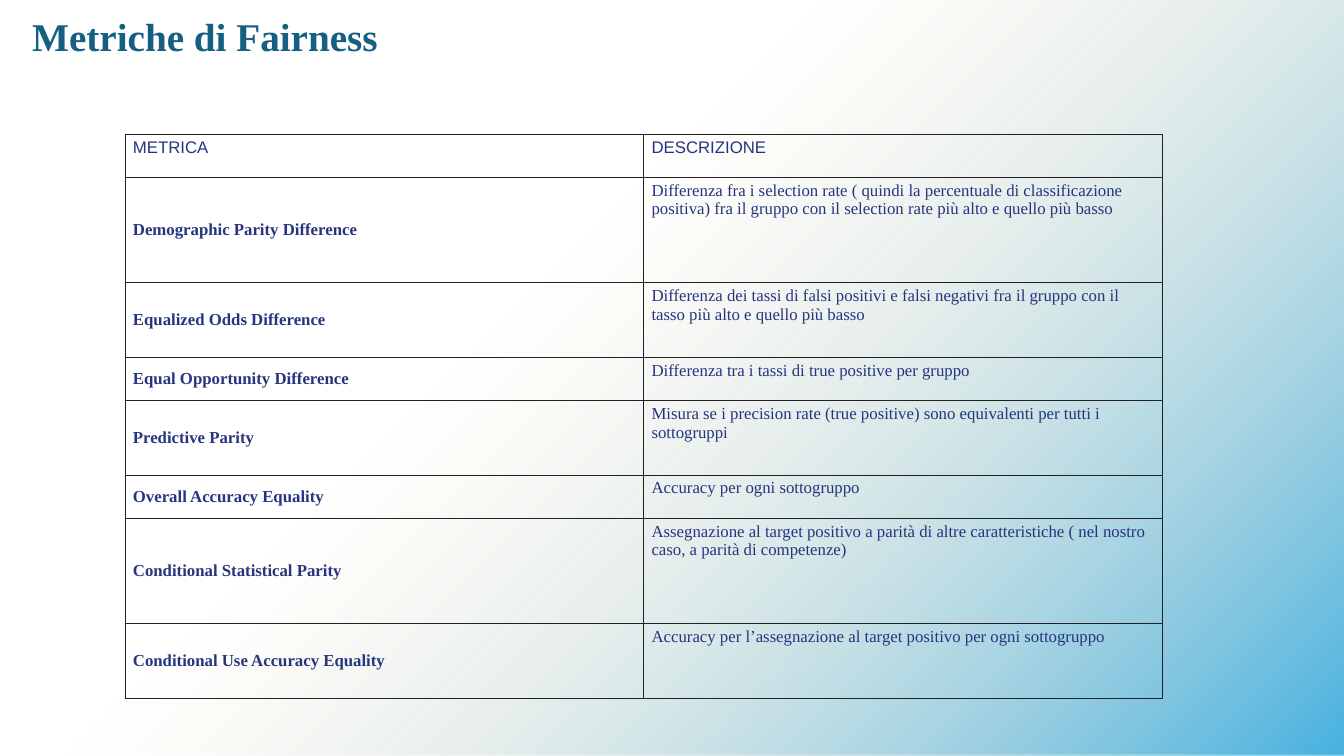
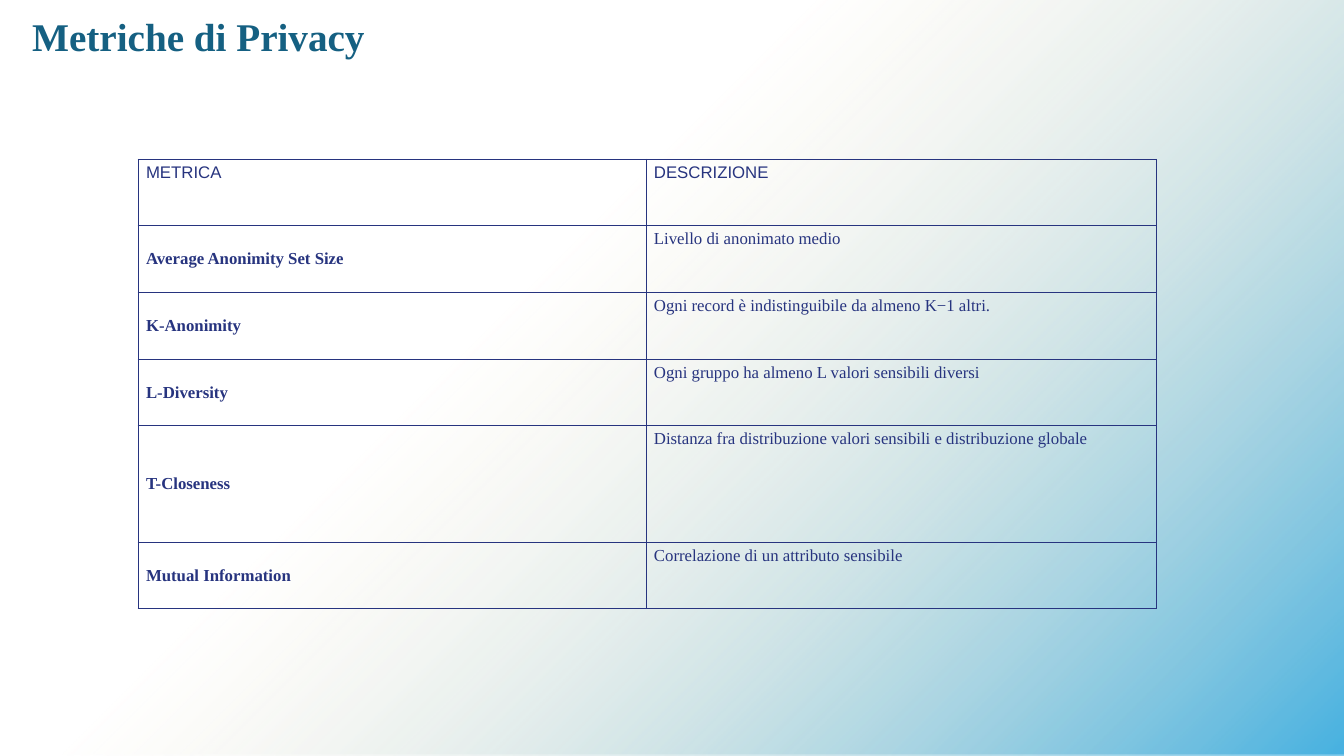
"""Two slides of fairness and privacy metrics, each a titled table over a shared gradient."""
from lxml import etree
from pptx import Presentation
from pptx.dml.color import RGBColor
from pptx.enum import shapes, text
from pptx.oxml import parse_xml
from pptx.oxml.ns import nsdecls, qn
from pptx.util import Cm, Pt

TITLE_COLOR = RGBColor(0x15, 0x60, 0x82)
TEXT_COLOR = RGBColor(0x27, 0x34, 0x7F)
DARK_GREY = RGBColor(0x21, 0x21, 0x21)
GLOW_BLUE = RGBColor(0x46, 0xB1, 0xE1)
GLOW_SAND = RGBColor(0xE3, 0xD8, 0xBB)
SERIF, SANS = "Times New Roman", "Arial"
NO_TABLE_STYLE = "{2D5ABB26-0587-4C30-8999-92F81FD0307C}"

GRADIENT = f"""<a:gradFill {nsdecls("a")} rotWithShape="1"><a:gsLst>
<a:gs pos="0"><a:srgbClr val="{GLOW_BLUE}"/></a:gs>
<a:gs pos="61000"><a:srgbClr val="{GLOW_SAND}"><a:alpha val="0"/></a:srgbClr></a:gs>
</a:gsLst><a:path path="circle"><a:fillToRect l="100000" t="100000"/></a:path></a:gradFill>"""

HEADER = ("METRICA", "DESCRIZIONE")
SLIDES = [
    {
        "title": "Metriche di Fairness",
        "left": 3.15, "top": 3.38, "columns": (13.07, 13.07), "border": DARK_GREY,
        "heights": (1.09, 2.65, 1.88, 1.09, 1.88, 1.09, 2.65, 1.88),
        "rows": [
            HEADER,
            ("Demographic Parity Difference",
             "Differenza fra i selection rate ( quindi la percentuale di classificazione positiva) "
             "fra il gruppo con il selection rate più alto e quello più basso"),
            ("Equalized Odds Difference",
             "Differenza dei tassi di falsi positivi e falsi negativi fra il gruppo con il tasso "
             "più alto e quello più basso"),
            ("Equal Opportunity Difference", "Differenza tra i tassi di true positive per gruppo"),
            ("Predictive Parity",
             "Misura se i precision rate (true positive) sono equivalenti per tutti i sottogruppi"),
            ("Overall Accuracy Equality", "Accuracy per ogni sottogruppo"),
            ("Conditional Statistical Parity",
             "Assegnazione al target positivo a parità di altre caratteristiche "
             "( nel nostro caso, a parità di competenze)"),
            ("Conditional Use Accuracy Equality",
             "Accuracy per l’assegnazione al target positivo per ogni sottogruppo"),
        ],
    },
    {
        "title": "Metriche di Privacy",
        "left": 3.48, "top": 4.01, "columns": (12.8, 12.86), "border": TEXT_COLOR,
        "heights": (1.68, 1.68, 1.68, 1.68, 2.93, 1.68),
        "rows": [
            HEADER,
            ("Average Anonimity Set Size", "Livello di anonimato medio"),
            ("K-Anonimity", "Ogni record è indistinguibile da almeno K−1 altri."),
            ("L-Diversity", "Ogni gruppo ha almeno L valori sensibili diversi"),
            ("T-Closeness", "Distanza fra distribuzione valori sensibili e distribuzione globale"),
            ("Mutual Information", "Correlazione di un attributo sensibile"),
        ],
    },
]


def style_run(paragraph, font_name, size, color, bold):
    font = paragraph.runs[0].font
    font.name, font.size, font.bold = font_name, Pt(size), bold
    font.color.rgb = color


def add_borders(cell, color):
    properties = cell._tc.get_or_add_tcPr()
    for position, side in enumerate(("lnL", "lnR", "lnT", "lnB")):
        line = etree.Element(qn(f"a:{side}"), w=str(Pt(0.6)))
        solid = etree.SubElement(line, qn("a:solidFill"))
        etree.SubElement(solid, qn("a:srgbClr"), val=str(color))
        properties.insert(position, line)


presentation = Presentation()
presentation.slide_width, presentation.slide_height = Cm(33.87), Cm(19.05)

for content in SLIDES:
    slide = presentation.slides.add_slide(presentation.slide_layouts[6])

    backdrop = slide.shapes.add_shape(
        shapes.MSO_SHAPE.RECTANGLE, 0, Cm(-0.18), presentation.slide_width, Cm(19.23))
    backdrop.shadow.inherit = False
    backdrop.line.fill.background()
    backdrop._element.spPr.find(qn("a:prstGeom")).addnext(parse_xml(GRADIENT))

    title = slide.shapes.add_textbox(Cm(0.56), Cm(0.18), Cm(24.1), Cm(1.45))
    title.text_frame.word_wrap = True
    title.text_frame.auto_size = text.MSO_AUTO_SIZE.SHAPE_TO_FIT_TEXT
    title.text_frame.text = content["title"]
    style_run(title.text_frame.paragraphs[0], SERIF, 28, TITLE_COLOR, True)

    rows, columns, heights = content["rows"], content["columns"], content["heights"]
    table = slide.shapes.add_table(
        len(rows), len(columns), Cm(content["left"]), Cm(content["top"]),
        Cm(sum(columns)), Cm(sum(heights))).table
    table.first_row = table.horz_banding = False
    table._tbl.tblPr.find(qn("a:tableStyleId")).text = NO_TABLE_STYLE
    for column, width in zip(table.columns, columns):
        column.width = Cm(width)

    for row_index, (row, height) in enumerate(zip(rows, heights)):
        table.rows[row_index].height = Cm(height)
        for column_index, wording in enumerate(row):
            cell = table.cell(row_index, column_index)
            is_header = row_index == 0
            is_metric = column_index == 0 and not is_header
            cell.margin_left = cell.margin_right = Cm(0.2)
            cell.margin_top = cell.margin_bottom = Cm(0.1)
            cell.vertical_anchor = text.MSO_ANCHOR.MIDDLE if is_metric else text.MSO_ANCHOR.TOP
            cell.fill.background()
            add_borders(cell, content["border"])
            cell.text_frame.text = wording
            style_run(cell.text_frame.paragraphs[0], SANS if is_header else SERIF, 12,
                      TEXT_COLOR, is_metric)

presentation.save("out.pptx")
